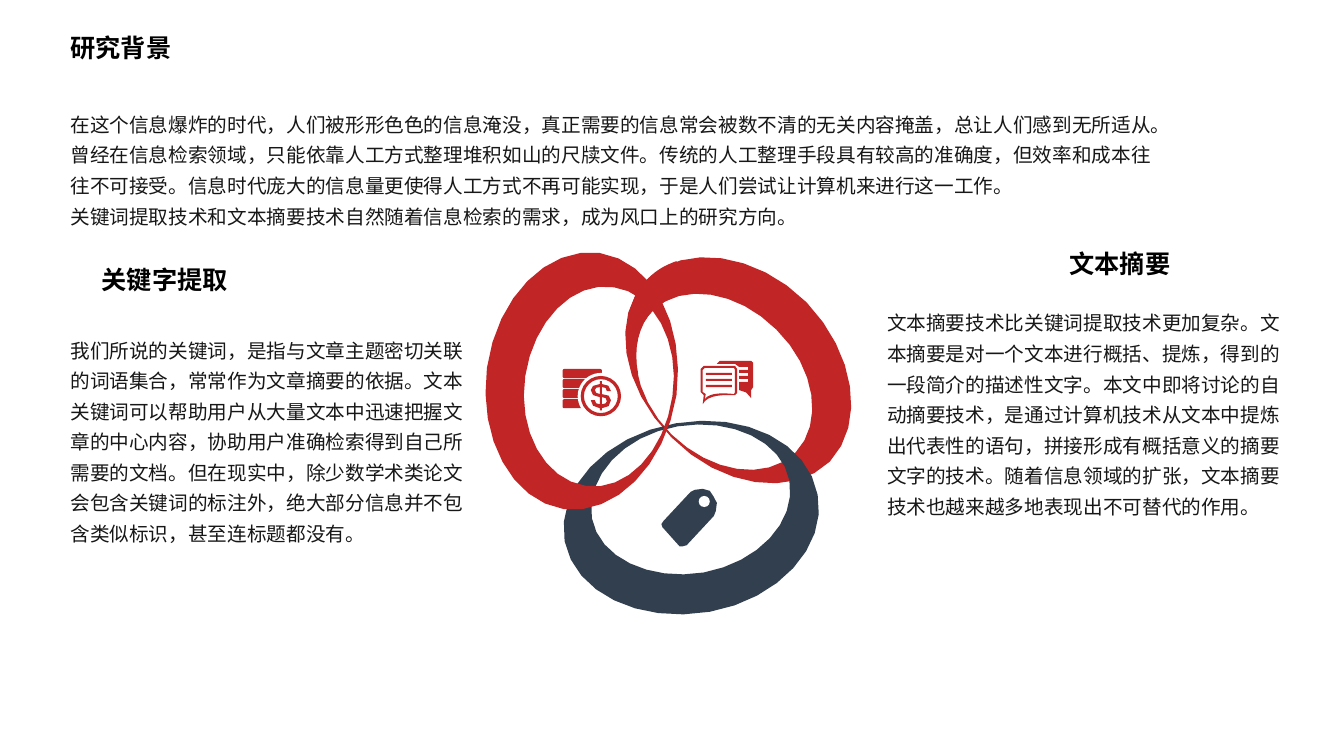
import pptx
import pptx.util
import pptx.dml.color
import pptx.enum.shapes
import pptx.enum.text
import pptx.oxml.ns
import lxml.etree

Inches = pptx.util.Inches
RED, NAVY, WHITE, BLACK, INK = "C12525", "323F4F", "FFFFFF", "000000", "181717"
FONT = "Noto Sans CJK SC"


def paint(shape, color):
    shape.shadow.inherit = False
    shape.fill.solid()
    shape.fill.fore_color.rgb = pptx.dml.color.RGBColor.from_string(color)
    shape.line.fill.background()


def draw_outline(shapes, color, contours):
    builder = None
    for start, *segments in contours:
        points = [start]
        for segment in segments:
            if len(segment) == 2:
                points.append(segment)
                continue
            x0, y0 = points[-1]
            x1, y1, x2, y2, x3, y3 = segment
            span = abs(x3 - x0) + abs(y3 - y0)
            steps = 8 if span > 0.3 else 2 if span > 0.05 else 1
            for step in range(1, steps + 1):
                t = step / steps
                a, b, c, d = (1 - t) ** 3, 3 * t * (1 - t) ** 2, 3 * t * t * (1 - t), t ** 3
                points.append((a * x0 + b * x1 + c * x2 + d * x3, a * y0 + b * y1 + c * y2 + d * y3))
        points = [(Inches(x), Inches(y)) for x, y in points]
        if builder is None:
            builder = shapes.build_freeform(*points[0], scale=1.0)
        else:
            builder.move_to(*points[0])
        builder.add_line_segments(points[1:], close=True)
    paint(builder.convert_to_shape(), color)


presentation = pptx.Presentation()
presentation.slide_width = Inches(13.33)
presentation.slide_height = Inches(7.5)
slide = presentation.slides.add_slide(presentation.slide_layouts[6])
emblem = slide.shapes.add_group_shape().shapes

right_ring = [
    [(6.42, 2.77), (6.05, 3.14, 6.16, 3.84, 6.66, 4.34), (7.15, 4.84, 7.86, 4.94, 8.23, 4.58),
     (8.59, 4.2, 8.48, 3.5, 8, 3), (7.5, 2.5, 6.78, 2.41, 6.42, 2.77)],
    [(7.89, 4.49), (7.59, 4.78, 7.05, 4.69, 6.66, 4.31), (6.27, 3.92, 6.19, 3.37, 6.47, 3.08),
     (6.77, 2.8, 7.31, 2.88, 7.7, 3.27), (8.09, 3.65, 8.17, 4.2, 7.89, 4.49)],
]
bottom_ring = [
    [(8.11, 4.91), (8.02, 4.39, 7.39, 4.08, 6.7, 4.2), (6, 4.32, 5.51, 4.85, 5.6, 5.37),
     (5.7, 5.88, 6.33, 6.19, 7.04, 6.07), (7.72, 5.95, 8.21, 5.42, 8.11, 4.91)],
    [(5.87, 5.14), (5.81, 4.73, 6.18, 4.32, 6.72, 4.23), (7.26, 4.14, 7.76, 4.38, 7.83, 4.77),
     (7.9, 5.18, 7.52, 5.58, 6.98, 5.68), (6.44, 5.77, 5.94, 5.53, 5.87, 5.14)],
]
left_ring = [
    [(5.59, 5.05), (6.1, 5.12, 6.6, 4.62, 6.71, 3.92), (6.8, 3.21, 6.47, 2.59, 5.95, 2.51),
     (5.43, 2.44, 4.93, 2.94, 4.83, 3.65), (4.74, 4.35, 5.08, 4.97, 5.59, 5.05)],
    [(6.09, 2.85), (6.48, 2.9, 6.75, 3.39, 6.67, 3.93), (6.59, 4.49, 6.21, 4.88, 5.81, 4.82),
     (5.4, 4.76, 5.13, 4.27, 5.21, 3.73), (5.29, 3.19, 5.68, 2.78, 6.09, 2.85)],
]
ring_overlap = [
    [(6.48, 3.08), (6.55, 3.01, 6.63, 2.97, 6.71, 2.94), (6.71, 2.59),
     (6.6, 2.63, 6.51, 2.68, 6.43, 2.76), (6.2, 2.99, 6.16, 3.34, 6.27, 3.71), (6.33, 3.71),
     (6.28, 3.47, 6.33, 3.22, 6.48, 3.08)],
]
tag = [
    [(6.74, 5.42), (6.57, 5.23), (6.56, 5.2), (6.58, 5.17), (6.85, 4.88), (6.89, 4.86),
     (6.97, 4.85), (7.04, 4.87), (7.08, 4.93), (7.11, 4.99), (7.1, 5.07), (7.08, 5.12),
     (6.81, 5.41), (6.77, 5.42)],
]
dollar = [
    [(5.97, 3.84), (5.97, 3.91), (6.03, 3.91, 6.06, 3.93, 6.06, 3.97),
     (6.06, 4.02, 6.03, 4.05, 5.97, 4.05), (5.97, 4.07), (5.95, 4.07), (5.95, 4.05),
     (5.89, 4.04, 5.86, 4.02, 5.86, 3.97), (5.9, 3.97), (5.9, 4, 5.92, 4.01, 5.95, 4.01),
     (5.95, 3.94), (5.89, 3.94, 5.86, 3.91, 5.86, 3.87), (5.86, 3.84, 5.89, 3.81, 5.95, 3.81),
     (5.95, 3.78), (5.97, 3.78), (5.97, 3.81), (6.02, 3.81, 6.06, 3.83, 6.06, 3.88),
     (6.02, 3.88), (6.02, 3.85, 6, 3.84, 5.97, 3.84)],
    [(5.95, 3.84), (5.92, 3.84, 5.9, 3.85, 5.9, 3.87), (5.9, 3.89, 5.92, 3.91, 5.95, 3.91)],
    [(5.97, 3.94), (5.97, 4.01), (6, 4.01, 6.02, 4, 6.02, 3.98),
     (6.02, 3.95, 6, 3.94, 5.97, 3.94)],
]
back_bubble = [(7.33, 3.87), (7.39, 3.87, 7.42, 3.91, 7.45, 3.95), (7.45, 3.87), (7.47, 3.84),
               (7.47, 3.6), (7.45, 3.58), (7.14, 3.58), (7.11, 3.61), (7.29, 3.61), (7.33, 3.64)]
front_bubble = [(7.31, 3.9), (7.29, 3.92), (7.19, 3.92, 7.02, 3.91, 6.97, 4.01), (6.98, 3.92),
                (6.95, 3.89), (6.95, 3.66), (6.98, 3.63), (7.29, 3.63), (7.31, 3.66)]
bubble_inside = [(6.99, 3.96), (7, 3.91), (6.97, 3.89), (6.97, 3.67), (6.99, 3.65), (7.28, 3.65),
                 (7.29, 3.67), (7.29, 3.89), (7.28, 3.91), (7.19, 3.9, 7.04, 3.89, 6.99, 3.96)]
bubbles = [back_bubble, front_bubble, bubble_inside]
for row in range(3):
    notch = 3.64 + 0.06 * row
    back_bubble += [(7.33, notch), (7.42, notch), (7.42, notch + 0.03), (7.33, notch + 0.03)]
    top = 3.7 + 0.06 * row
    bubbles.append([(7, top), (7.26, top), (7.26, top + 0.02), (7, top + 0.02)])

for color, contours in [(RED, right_ring), (NAVY, bottom_ring), (RED, left_ring),
                        (RED, ring_overlap), (NAVY, tag), (RED, bubbles)]:
    draw_outline(emblem, color, contours)

preset = pptx.enum.shapes.MSO_SHAPE
icon_parts = [(preset.ROUNDED_RECTANGLE, 5.58, 3.66 + 0.1 * row, 0.39 if row == 0 else 0.24, 0.09, RED, 0.2)
              for row in range(4)]
icon_parts += [(preset.OVAL, 5.73, 3.7, 0.46, 0.46, WHITE, None),
               (preset.DONUT, 5.76, 3.73, 0.4, 0.4, RED, 0.08),
               (preset.OVAL, 6.93, 4.92, 0.11, 0.11, WHITE, None)]
for kind, left, top, width, height, color, adjustment in icon_parts:
    part = emblem.add_shape(kind, Inches(left), Inches(top), Inches(width), Inches(height))
    paint(part, color)
    if adjustment is not None:
        part.adjustments[0] = adjustment
draw_outline(emblem, RED, dollar)

body_format = {"size": pptx.util.Pt(14), "name": FONT, "bold": False}
heading_format = {"size": pptx.util.Pt(18), "name": FONT, "bold": True}
body_layout = {"line_spacing": 1.3}
heading_layout = {"alignment": pptx.enum.text.PP_ALIGN.JUSTIFY}
body = (body_format, body_layout, INK)
heading = (heading_format, heading_layout, BLACK)
texts = [
    (0.6, 3.24, 4.28, 2.22, body, [
        "我们所说的关键词，是指与文章主题密切关联的词语集合，常常作为文章摘要的依据。"
        "文本关键词可以帮助用户从大量文本中迅速把握文章的中心内容，协助用户准确检索得到自己所需要的文档。"
        "但在现实中，除少数学术类论文会包含关键词的标注外，绝大部分信息并不包含类似标识，甚至连标题都没有。"]),
    (0.91, 2.57, 2.12, 0.4, heading, ["关键字提取"]),
    (8.7, 2.97, 4.14, 2.22, body, [
        "文本摘要技术比关键词提取技术更加复杂。文本摘要是对一个文本进行概括、提炼，得到的一段简介的描述性文字。"
        "本文中即将讨论的自动摘要技术，是通过计算机技术从文本中提炼出代表性的语句，拼接形成有概括意义的摘要文字的技术。"
        "随着信息领域的扩张，文本摘要技术也越来越多地表现出不可替代的作用。"]),
    (10.51, 2.41, 2.12, 0.4, heading, ["文本摘要"]),
    (0.6, 1, 11.05, 1.3, body, [
        "在这个信息爆炸的时代，人们被形形色色的信息淹没，真正需要的信息常会被数不清的无关内容掩盖，总让人们感到无所适从。"
        "曾经在信息检索领域，只能依靠人工方式整理堆积如山的尺牍文件。"
        "传统的人工整理手段具有较高的准确度，但效率和成本往往不可接受。"
        "信息时代庞大的信息量更使得人工方式不再可能实现，于是人们尝试让计算机来进行这一工作。",
        "关键词提取技术和文本摘要技术自然随着信息检索的需求，成为风口上的研究方向。"]),
    (0.6, 0.27, 4.89, 0.4, heading, ["研究背景"]),
]
for left, top, width, height, (font_format, layout, color), lines in texts:
    frame = slide.shapes.add_textbox(Inches(left), Inches(top), Inches(width), Inches(height)).text_frame
    frame.word_wrap = True
    frame.auto_size = pptx.enum.text.MSO_AUTO_SIZE.SHAPE_TO_FIT_TEXT
    frame.text = "\n".join(lines)
    for paragraph in frame.paragraphs:
        for name, value in layout.items():
            setattr(paragraph, name, value)
        font = paragraph.runs[0].font
        for name, value in font_format.items():
            setattr(font, name, value)
        font.color.rgb = pptx.dml.color.RGBColor.from_string(color)
        properties = paragraph.runs[0]._r.get_or_add_rPr()
        lxml.etree.SubElement(properties, pptx.oxml.ns.qn("a:ea"), typeface=FONT)

presentation.save("out.pptx")
